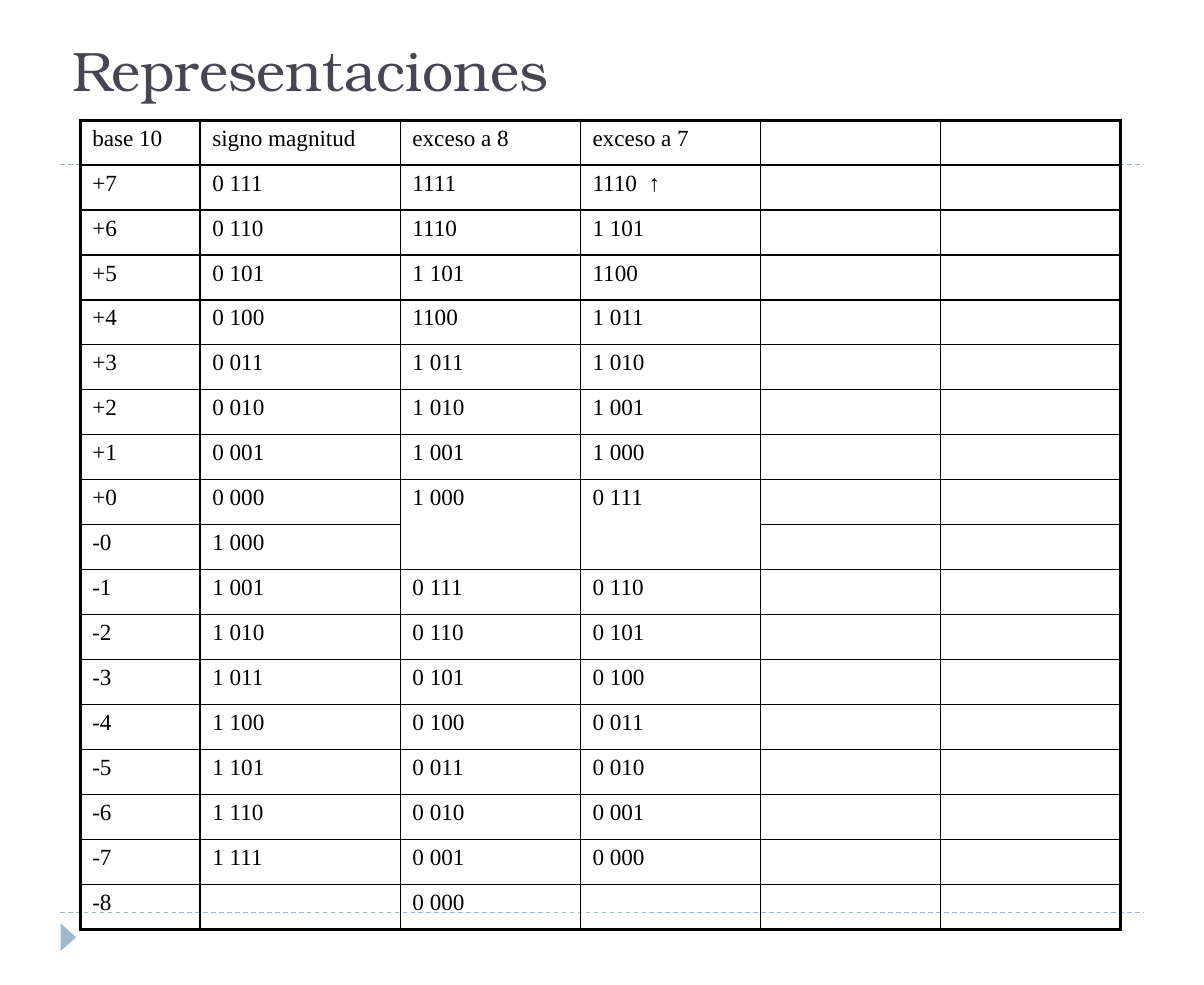
from typing import NamedTuple

from lxml import etree
from pptx import Presentation
from pptx.dml.color import RGBColor
from pptx.enum.dml import MSO_LINE
from pptx.enum.shapes import MSO_CONNECTOR, MSO_SHAPE
from pptx.enum.text import MSO_ANCHOR
from pptx.oxml.ns import qn
from pptx.slide import Slide
from pptx.table import _Cell
from pptx.util import Inches, Pt

BLACK = RGBColor(0x00, 0x00, 0x00)
TITLE_COLOR = RGBColor(0x46, 0x46, 0x53)
ACCENT = RGBColor(0x9F, 0xB8, 0xCD)
STRAIGHT = MSO_CONNECTOR.STRAIGHT
TRIANGLE = MSO_SHAPE.ISOSCELES_TRIANGLE
DASH = MSO_LINE.DASH
BOTTOM = MSO_ANCHOR.BOTTOM

TITLE_FONT = "TeX Gyre Bonum"
TABLE_FONT = "Times New Roman"
THIN = Pt(1)
THICK = Pt(2.25)
RULE_HEIGHTS = (8.21, 1.48)
COLUMN_WIDTHS = (1.08, 1.8, 1.62, 1.62, 1.62, 1.62)
TABLE_HEIGHT = 7.28
ZERO_ROW = 8


class Representation(NamedTuple):
    base_ten: str
    sign_magnitude: str
    excess_eight: str
    excess_seven: str


REPRESENTATIONS = (
    Representation("base 10", "signo magnitud", "exceso a 8", "exceso a 7"),
    Representation("+7", "0 111", "1111", "1110  ↑"),
    Representation("+6", "0 110", "1110", "1 101"),
    Representation("+5", "0 101", "1 101", "1100"),
    Representation("+4", "0 100", "1100", "1 011"),
    Representation("+3", "0 011", "1 011", "1 010"),
    Representation("+2", "0 010", "1 010", "1 001"),
    Representation("+1", "0 001", "1 001", "1 000"),
    Representation("+0", "0 000", "1 000", "0 111"),
    Representation("-0", "1 000", "", ""),
    Representation("-1", "1 001", "0 111", "0 110"),
    Representation("-2", "1 010", "0 110", "0 101"),
    Representation("-3", "1 011", "0 101", "0 100"),
    Representation("-4", "1 100", "0 100", "0 011"),
    Representation("-5", "1 101", "0 011", "0 010"),
    Representation("-6", "1 110", "0 010", "0 001"),
    Representation("-7", "1 111", "0 001", "0 000"),
    Representation("-8", "", "0 000", ""),
)


def add_rule(slide: Slide, height: float) -> None:
    rule = slide.shapes.add_connector(
        STRAIGHT, Inches(0.54), Inches(height), Inches(10.29), Inches(height)
    )
    rule.line.color.rgb = ACCENT
    rule.line.width = Pt(0.75)
    rule.line.dash_style = DASH
    etree.SubElement(rule._element.spPr, qn("a:effectLst"))


def add_marker(slide: Slide) -> None:
    marker = slide.shapes.add_shape(
        TRIANGLE, Inches(0.49), Inches(8.36), Inches(0.25), Inches(0.14)
    )
    marker.rotation = 90
    marker.shadow.inherit = False
    marker.fill.solid()
    marker.fill.fore_color.rgb = ACCENT
    marker.line.fill.background()


def add_title(slide: Slide) -> None:
    title = slide.shapes.add_textbox(Inches(0.54), 0, Inches(9.93), Inches(0.98))
    frame = title.text_frame
    frame.word_wrap = True
    frame.vertical_anchor = BOTTOM
    frame.margin_left = frame.margin_right = Inches(0.11)
    frame.margin_top = frame.margin_bottom = Inches(0.06)
    paragraph = frame.paragraphs[0]
    paragraph.text = "Representaciones"
    paragraph.font.name = TITLE_FONT
    paragraph.font.size = Pt(36)
    paragraph.font.color.rgb = TITLE_COLOR


def add_border(cell: _Cell, side: str, width: int) -> None:
    properties = cell._tc.get_or_add_tcPr()
    border = etree.SubElement(properties, qn(f"a:ln{side}"), w=str(width))
    fill = etree.SubElement(border, qn("a:solidFill"))
    etree.SubElement(fill, qn("a:srgbClr"), val=str(BLACK))


def fill_cell(cell: _Cell, text: str, outer_sides: dict[str, bool]) -> None:
    cell.margin_left = cell.margin_right = Inches(0.11)
    cell.margin_top = cell.margin_bottom = Inches(0.05)
    for side, is_outer in outer_sides.items():
        add_border(cell, side, THICK if is_outer else THIN)
    cell.fill.background()
    paragraph = cell.text_frame.paragraphs[0]
    paragraph.text = text
    paragraph.font.name = TABLE_FONT
    paragraph.font.size = Pt(15)
    paragraph.font.color.rgb = BLACK


def add_representation_table(slide: Slide) -> None:
    row_count, column_count = len(REPRESENTATIONS), len(COLUMN_WIDTHS)
    table = slide.shapes.add_table(
        row_count, column_count, Inches(0.72), Inches(1.08),
        Inches(sum(COLUMN_WIDTHS)), Inches(TABLE_HEIGHT),
    ).table
    table.first_row = False
    table.horz_banding = False
    for column, width in zip(table.columns, COLUMN_WIDTHS):
        column.width = Inches(width)
    for row_index, representation in enumerate(REPRESENTATIONS):
        table.rows[row_index].height = Inches(TABLE_HEIGHT / row_count)
        for column_index in range(column_count):
            has_text = column_index < len(representation)
            outer_sides = {
                "L": column_index == 0,
                "R": column_index == column_count - 1,
                "T": row_index == 0,
                "B": row_index == row_count - 1,
            }
            fill_cell(
                table.cell(row_index, column_index),
                representation[column_index] if has_text else "",
                outer_sides,
            )
    for column_index in (2, 3):
        table.cell(ZERO_ROW, column_index).merge(table.cell(ZERO_ROW + 1, column_index))


def main() -> None:
    presentation = Presentation()
    presentation.slide_width = Inches(10.83)
    presentation.slide_height = Inches(8.86)
    slide = presentation.slides.add_slide(presentation.slide_layouts[6])
    for height in RULE_HEIGHTS:
        add_rule(slide, height)
    add_marker(slide)
    add_title(slide)
    add_representation_table(slide)
    presentation.save("out.pptx")


if __name__ == "__main__":
    main()
